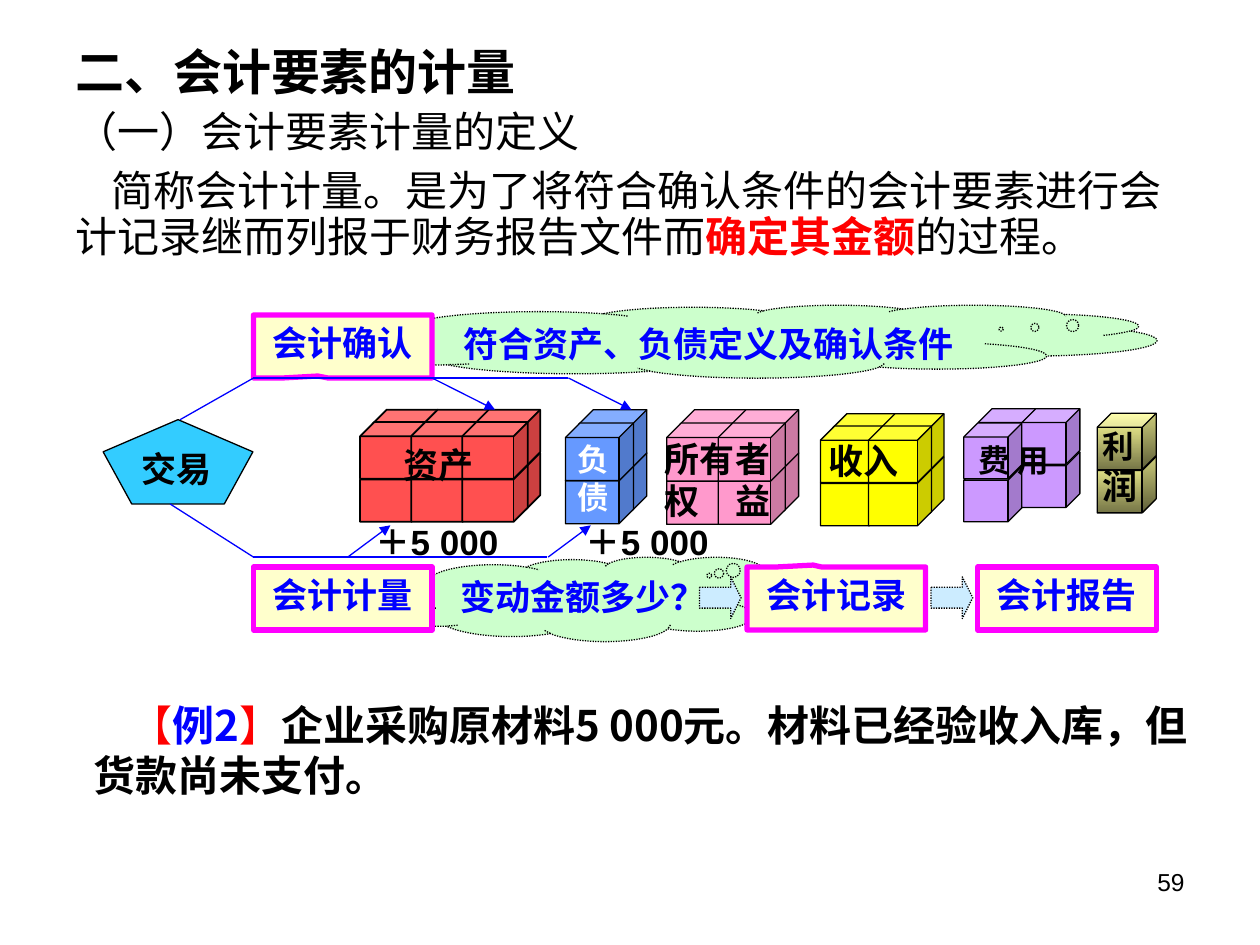
from dataclasses import dataclass
from typing import Any

from lxml import etree
from pptx import Presentation
from pptx.dml.color import RGBColor
from pptx.enum.dml import MSO_LINE
from pptx.enum.shapes import MSO_CONNECTOR, MSO_SHAPE
from pptx.enum.text import MSO_ANCHOR, PP_ALIGN
from pptx.oxml.ns import qn
from pptx.util import Cm, Pt

LEFT, CENTER, RIGHT, JUSTIFY = PP_ALIGN.LEFT, PP_ALIGN.CENTER, PP_ALIGN.RIGHT, PP_ALIGN.JUSTIFY
TOP = MSO_ANCHOR.TOP
STRAIGHT = MSO_CONNECTOR.STRAIGHT
DOTTED = MSO_LINE.ROUND_DOT
CUBE, PENTAGON = MSO_SHAPE.CUBE, MSO_SHAPE.REGULAR_PENTAGON
CLOUD, CALLOUT = MSO_SHAPE.CLOUD_CALLOUT, MSO_SHAPE.RECTANGULAR_CALLOUT
ARROW = MSO_SHAPE.RIGHT_ARROW

COLORS = {
    "black": "000000", "white": "FFFFFF", "red": "FF0000", "blue": "0000FF",
    "magenta": "FF00FF", "cream": "FFFFCC", "mint": "CCFFCC", "ice": "CCECFF",
    "sky": "33CCFF", "asset": "FF5050", "liability": "6699FF", "equity": "FF99CC",
    "income": "FFFF00", "expense": "CC99FF", "profit_light": "FFFF99", "profit_dark": "767647",
}
HAN, SANS, SERIF = "Noto Sans CJK SC", "Arial", "Times New Roman"


def rgb(name):
    return RGBColor.from_string(COLORS[name])


@dataclass
class Board:
    """Style of the diagram and the slide it is drawn on."""
    slide: Any
    size: float = 20
    line_width: float = 0.75

    def style_run(self, run, font=HAN, size=None, color="black", bold=True):
        run.font.size = Pt(size or self.size)
        run.font.bold = bold
        run.font.color.rgb = rgb(color)
        run.font.name = font
        latin = run.font._element.find(qn("a:latin"))
        east_asian = etree.Element(qn("a:ea"), typeface=HAN)
        latin.addnext(east_asian)

    def set_text(self, frame, text, align=CENTER, **style):
        frame.word_wrap = True
        frame.vertical_anchor = TOP
        frame.text = text
        for paragraph in frame.paragraphs:
            paragraph.alignment = align
            for run in paragraph.runs:
                self.style_run(run, **style)

    def rich(self, paragraph, parts, indent=0):
        """Fill a paragraph with (text, style) parts."""
        if indent:
            paragraph._p.get_or_add_pPr().set("indent", str(Cm(indent)))
        for text, style in parts:
            run = paragraph.add_run()
            run.text = text
            self.style_run(run, **style)

    def frame(self, x, y, w, h):
        frame = self.slide.shapes.add_textbox(Cm(x), Cm(y), Cm(w), Cm(h)).text_frame
        frame.word_wrap = True
        return frame

    def label(self, box, text, **style):
        self.set_text(self.frame(*box), text, **style)

    def shape(self, kind, box, fill, line="black", width=None, adjust=(), dash=None):
        shape = self.slide.shapes.add_shape(kind, *(Cm(v) for v in box))
        shape.shadow.inherit = False
        for index, value in enumerate(adjust):
            shape.adjustments[index] = value
        if isinstance(fill, tuple):
            shape.fill.gradient()
            shape.fill.gradient_angle = 270
            for stop, color in zip(shape.fill.gradient_stops, fill):
                stop.color.rgb = rgb(color)
        else:
            shape.fill.solid()
            shape.fill.fore_color.rgb = rgb(fill)
        shape.line.color.rgb = rgb(line)
        shape.line.width = Pt(width or self.line_width)
        if dash:
            shape.line.dash_style = dash
        return shape

    def cloud(self, box, text, tail):
        cloud = self.shape(CLOUD, box, "mint", adjust=tail, dash=DOTTED)
        self.set_text(cloud.text_frame, text, align=JUSTIFY, font=SERIF, color="blue")

    def step(self, x, y, text, tail):
        step = self.shape(CALLOUT, (x, y, 3.6, 1.27), "cream", "magenta", 3, tail)
        self.set_text(step.text_frame, text, font=SANS, color="blue")

    def line(self, start, end, arrow=False):
        line = self.slide.shapes.add_connector(STRAIGHT, *(Cm(v) for v in start + end))
        line.line.color.rgb = rgb("blue")
        line.line.width = Pt(self.line_width)
        properties = line._element.spPr
        if arrow:
            etree.SubElement(properties.find(qn("a:ln")), qn("a:tailEnd"), type="triangle")
        etree.SubElement(properties, qn("a:effectLst"))

    def stack(self, x, y, cube, fill, pitch=0, front=1, back=1, depth=0.27, width=None):
        """Two-high block of cubes, drawn column by column from back to front."""
        w, h = cube
        row_pitch = 0.87
        for column in range(max(front, back)):
            for columns, shift in ((back, depth), (front, 0)):
                if column >= columns:
                    continue
                for row in (1, 0):
                    box = (x + column * pitch + shift, y + row * row_pitch - shift, w, h)
                    self.shape(CUBE, box, fill, width=width, adjust=(0.25,))


def main():
    deck = Presentation()
    deck.slide_width, deck.slide_height = Cm(25.4), Cm(19.05)
    board = Board(deck.slides.add_slide(deck.slide_layouts[6]))

    # Heading and definition
    plain = dict(size=24, bold=False)
    definition = board.frame(1.27, 0.84, 22.86, 5.16)
    paragraphs = [
        (0, 0, [("二、会计要素的计量", dict(size=28))]),
        (6, 0, [("（一）会计要素计量的定义", plain)]),
        (8, 0.73, [
            ("简称会计计量。是为了将符合确认条件的会计要素进行会计记录继而列报于财务报告文件而", plain),
            ("确定其金额", dict(size=24, color="red")),
            ("的过程。", plain),
        ]),
    ]
    for number, (space, indent, parts) in enumerate(paragraphs):
        paragraph = definition.add_paragraph() if number else definition.paragraphs[0]
        paragraph.line_spacing = 0.9
        paragraph.space_before = Pt(space)
        board.rich(paragraph, parts, indent)

    # Worked example
    example = board.frame(1.63, 13.97, 22.86, 2.97)
    bracket = dict(size=24, color="red", bold=False)
    board.rich(example.paragraphs[0], [
        ("【", bracket),
        ("例2", dict(size=24, color="blue")),
        ("】", bracket),
        ("企业采购原材料5 000元。材料已经验收入库，但货款尚未支付。", dict(size=24)),
    ], indent=0.75)

    # Transaction
    board.shape(PENTAGON, (2.08, 8.46, 3.02, 1.7), "sky")
    board.label((2.29, 8.89, 2.54, 1.27), "交易", font=SANS)

    # Accounting elements as blocks of cubes
    board.stack(7.26, 8.51, (1.32, 1.14), "asset", 1.03, 3, 3, depth=0.25, width=1)
    board.label((7.62, 8.81, 2.44, 1.42), "资产", font=SERIF)
    board.stack(11.4, 8.53, (1.37, 1.16), "liability")
    board.label((11.4, 8.74, 0.99, 1.24), "负债", font=SERIF, size=18, color="white")
    board.stack(13.44, 8.53, (1.35, 1.17), "equity", 1.04, 2, 2)
    board.label((13.08, 8.69, 2.77, 1.88), "所有者\n权　益", font=SERIF)
    board.stack(16.54, 8.59, (1.27, 1.14), "income", 0.97, 2, 2, depth=0.25)
    board.label((16.46, 8.74, 2.21, 1.42), "收入", align=LEFT, font=SERIF)
    board.stack(19.43, 8.53, (1.17, 1.12), "expense", 0.88, 1, 2, depth=0.29)
    board.label((19.41, 8.76, 2.06, 1.4), "费 用", font=SERIF, size=18)
    board.stack(22.12, 8.33, (1.19, 1.14), ("profit_light", "profit_dark"), back=0)
    profit = board.frame(21.97, 8.48, 1.14, 2.06).paragraphs[0]
    profit.alignment = CENTER
    board.rich(profit, [("利", dict(font=SERIF, size=18)), ("润", dict(font=SERIF))])

    # Recognition: condition, step and lines
    board.cloud((6.81, 6.15, 16.51, 1.47), "符合资产、负债定义及确认条件", (0.31, -0.17))
    board.step(5.11, 6.35, "会计确认", (-0.14, 0.47))
    board.line((5.11, 7.62), (11.46, 7.62))
    board.line((5.11, 7.62), (3.63, 8.46))
    for x in (8.71, 11.46):
        board.line((x, 7.62), (x + 1.27, 8.26), arrow=True)

    # Measurement: lines and amounts
    for x in (7.01, 11.05):
        board.line((x, 11.23), (x + 0.86, 10.59), arrow=True)
    for x in (7.01, 11.25):
        board.label((x, 10.36, 3.6, 1.27), "＋5 000", font=SANS)
    board.line((5.11, 11.23), (3.43, 10.16))
    board.line((5.11, 11.23), (11.02, 11.23))

    # Measurement, recording and reporting steps
    board.cloud((7.87, 11.23, 8.46, 1.7), "变动金额多少？", (0.26, -0.28))
    for x, text, tail in (
        (5.11, "会计计量", (-0.08, -0.5)),
        (15.06, "会计记录", (-0.13, -0.53)),
        (19.71, "会计报告", (-0.13, -0.5)),
    ):
        board.step(x, 11.43, text, tail)
    for x in (14.1, 18.77):
        board.shape(ARROW, (x, 11.63, 0.84, 0.84), "ice", adjust=(0.5, 0.25), dash=DOTTED)

    # Page number
    board.label((18.21, 17.35, 5.92, 1.32), "59", align=RIGHT, font=SANS, size=14, bold=False)

    deck.save("out.pptx")


if __name__ == "__main__":
    main()
